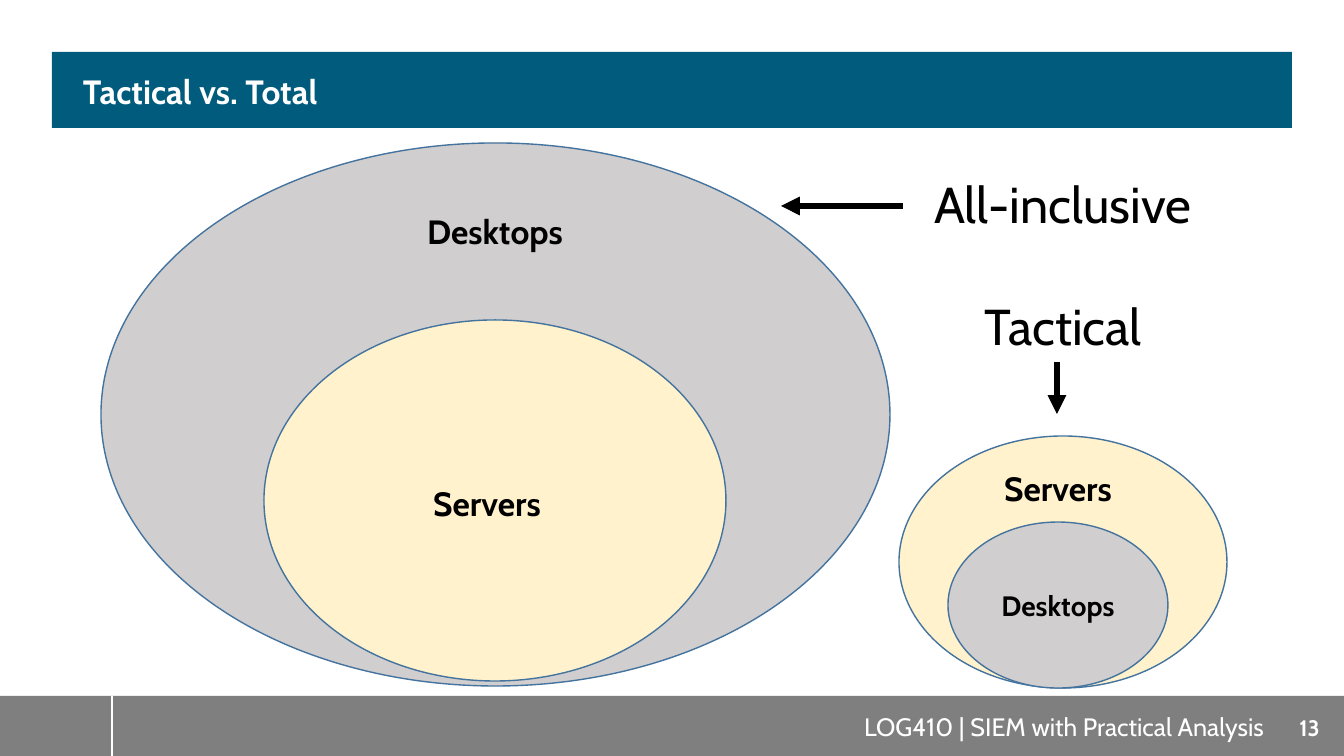
from dataclasses import dataclass

from lxml import etree
from pptx import Presentation
from pptx.dml.color import RGBColor
from pptx.enum.shapes import MSO_CONNECTOR, MSO_SHAPE
from pptx.enum.text import MSO_ANCHOR, PP_ALIGN
from pptx.oxml.ns import qn
from pptx.util import Emu, Pt

RECTANGLE, ELLIPSE = MSO_SHAPE.RECTANGLE, MSO_SHAPE.OVAL
STRAIGHT = MSO_CONNECTOR.STRAIGHT
LEFT, CENTER, RIGHT = PP_ALIGN.LEFT, PP_ALIGN.CENTER, PP_ALIGN.RIGHT
TOP, MIDDLE = MSO_ANCHOR.TOP, MSO_ANCHOR.MIDDLE


@dataclass(frozen=True)
class Theme:
    font: str = "Cabin"
    banner: str = "005B7D"
    footer: str = "7F7F7F"
    desktops: str = "D0CECE"
    servers: str = "FFF2CC"
    outline: str = "43739E"
    black: str = "000000"
    white: str = "FFFFFF"
    callout_size: int = 36
    heading_size: int = 24
    inner_size: int = 20
    footer_size: int = 18
    number_size: int = 16


THEME = Theme()


def px(length):
    return Emu(round(length * 12192000 / 1344))


def color(value):
    return RGBColor.from_string(value)


def write(shape, lines, size, ink=THEME.black, bold=True, align=CENTER,
          anchor=TOP, gap=0):
    """Fill a shape with one paragraph per line, gap points apart."""
    frame = shape.text_frame
    frame.word_wrap = True
    frame.vertical_anchor = anchor
    frame.text = "\n".join(lines)
    for index, para in enumerate(frame.paragraphs):
        para.alignment = align
        if index:
            para.space_before = Pt(gap)
        for span in para.runs:
            span.font.name = THEME.font
            span.font.size = Pt(size)
            span.font.bold = bold
            span.font.color.rgb = color(ink)


def add_label(page, bounds, lines, size, **style):
    box = page.shapes.add_textbox(*map(px, bounds))
    write(box, lines, size, **style)
    return box


def add_block(page, kind, bounds, fill, outline=None):
    shape = page.shapes.add_shape(kind, *map(px, bounds))
    shape.shadow.inherit = False
    shape.fill.solid()
    shape.fill.fore_color.rgb = color(fill)
    if outline:
        shape.line.color.rgb = color(outline)
        shape.line.width = Pt(1)
    else:
        shape.line.fill.background()
    return shape


def add_line(page, start, end, ink, width, arrow=False):
    line = page.shapes.add_connector(STRAIGHT, *map(px, start + end))
    line.line.color.rgb = color(ink)
    line.line.width = Pt(width)
    if arrow:
        etree.SubElement(line.line._get_or_add_ln(), qn("a:tailEnd"),
                         type="triangle")
    etree.SubElement(line._element.spPr, qn("a:effectLst"))


def add_footer(page):
    add_block(page, RECTANGLE, (0, 696, 1344, 60), THEME.footer)
    add_line(page, (112, 696), (112, 756), THEME.white, 2)
    add_label(page, (602, 706, 672, 40),
              ["LOG410 | SIEM with Practical Analysis"], THEME.footer_size,
              ink=THEME.white, bold=False, align=RIGHT)
    add_label(page, (1275, 698, 69, 60), ["13"], THEME.number_size,
              ink=THEME.white, anchor=MIDDLE)


def add_title(page):
    add_block(page, RECTANGLE, (52, 52, 1240, 76), THEME.banner)
    title = add_label(page, (73, 52, 1200, 76), ["Tactical vs. Total"],
                      THEME.heading_size, ink=THEME.white, align=LEFT,
                      anchor=MIDDLE)
    title.text_frame.margin_top = px(7)
    title.text_frame.margin_bottom = 0
    title.text_frame.paragraphs[0].line_spacing = 0.9


def main():
    deck = Presentation()
    deck.slide_width, deck.slide_height = px(1344), px(756)
    page = deck.slides.add_slide(deck.slide_layouts[6])

    add_footer(page)
    add_title(page)

    # Nested sets: all-inclusive on the left, tactical on the right
    for bounds, fill in (
        ((101, 143, 789, 543), THEME.desktops),
        ((264, 320, 462, 361), THEME.servers),
        ((899, 436, 328, 252), THEME.servers),
    ):
        add_block(page, ELLIPSE, bounds, fill, THEME.outline)
    tactical_desktops = add_block(page, ELLIPSE, (948, 522, 220, 166),
                                  THEME.desktops, THEME.outline)
    write(tactical_desktops, ["Desktops"], THEME.inner_size, anchor=MIDDLE)

    # Names of the sets
    for left, top, name in ((310, 206, "Desktops"), (302, 478, "Servers"),
                            (873, 463, "Servers")):
        add_label(page, (left, top, 370, 50), [name], THEME.heading_size)

    # Callouts and their arrows
    add_label(page, (903, 168, 320, 194), ["All-inclusive", "Tactical"],
              THEME.callout_size, bold=False, gap=44)
    for start, end in (((903, 206), (781, 206)), ((1057, 362), (1057, 414))):
        add_line(page, start, end, THEME.black, 4.5, arrow=True)

    deck.save("out.pptx")


if __name__ == "__main__":
    main()
